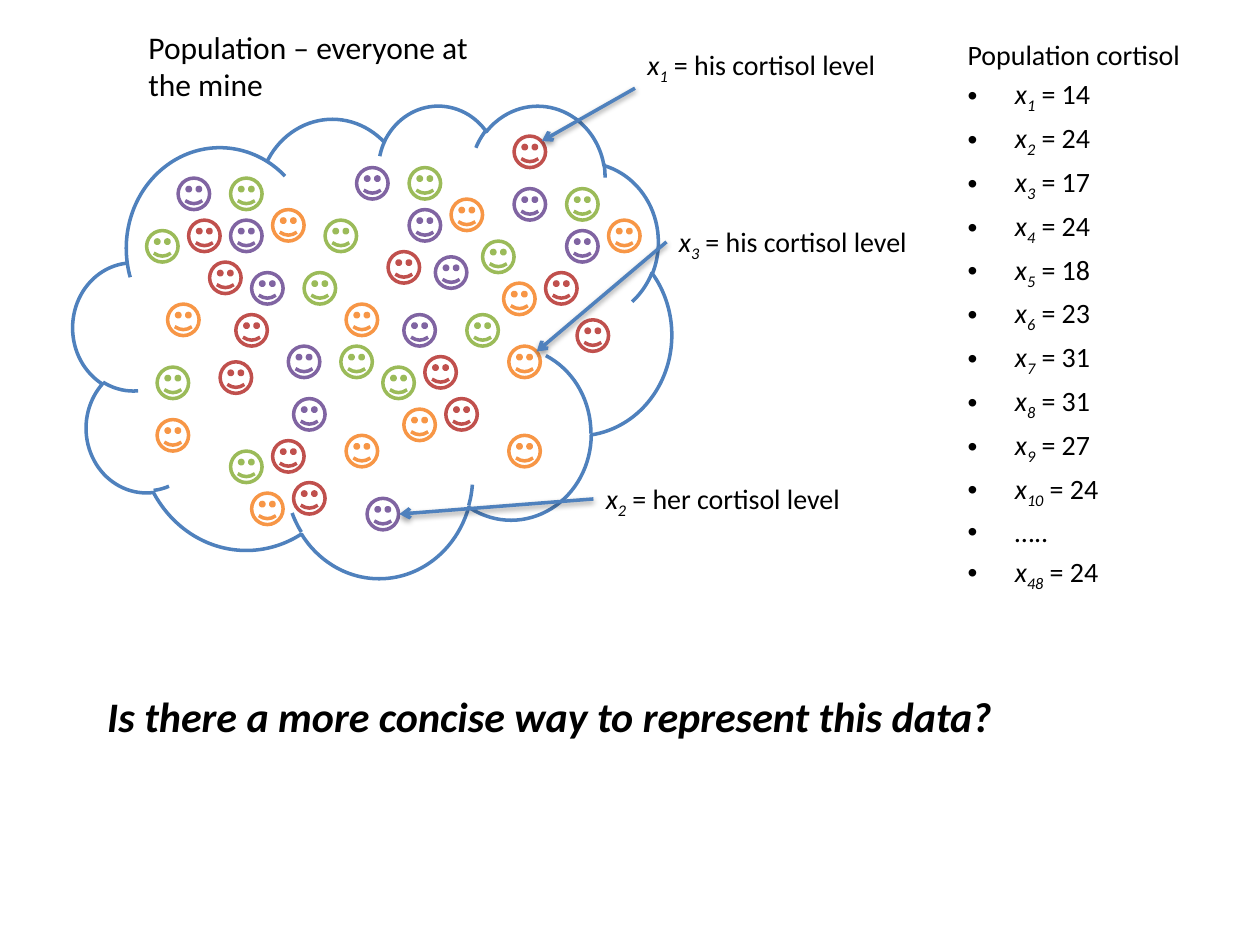
import pptx
import pptx.dml.color
import pptx.enum.shapes
import pptx.enum.text
import pptx.oxml
import pptx.oxml.ns
import pptx.util
from pptx.util import Inches

RGBColor = pptx.dml.color.RGBColor
AutoShape = pptx.enum.shapes.MSO_SHAPE
AutoSize = pptx.enum.text.MSO_AUTO_SIZE

BLACK = RGBColor(0x00, 0x00, 0x00)
WHITE = RGBColor(0xFF, 0xFF, 0xFF)
BLUE = RGBColor(0x4F, 0x81, 0xBD)
RED = RGBColor(0xC0, 0x50, 0x4D)
GREEN = RGBColor(0x9B, 0xBB, 0x59)
PURPLE = RGBColor(0x80, 0x64, 0xA2)
ORANGE = RGBColor(0xF7, 0x96, 0x46)

FONT = "Calibri"
LINE_WIDTH = pptx.util.Pt(2)
FACE_SIZE = Inches(0.25)
GRID_STEP = Inches(1) / 24

# Faces in the cloud: column and row on the grid, from the cloud's corner
FACES = {
    RED: [(22, 22), (26, 30), (96, 41), (60, 28), (31, 40), (28, 49),
          (38, 64), (42, 72), (67, 48), (71, 56), (84, 6), (90, 32)],
    GREEN: [(30, 14), (14, 24), (64, 12), (48, 22), (44, 32), (16, 50),
            (51, 46), (30, 66), (75, 40), (59, 50), (94, 16), (78, 26)],
    PURPLE: [(20, 14), (30, 22), (54, 12), (64, 20), (34, 32), (41, 46),
             (42, 56), (56, 75), (69, 29), (63, 40), (84, 16), (94, 24)],
    ORANGE: [(18, 38), (38, 20), (83, 63), (72, 18), (16, 60), (52, 38),
             (34, 74), (52, 63), (63, 58), (83, 46), (82, 34), (102, 22)],
}

# Index and value of each measurement; None marks the gap in the list
CORTISOL = [(1, 14), (2, 24), (3, 17), (4, 24), (5, 18), (6, 23), (7, 31),
            (8, 31), (9, 27), (10, 24), None, (48, 24)]

# Label index, person, label corner, arrow start and arrow end
CALLOUTS = [
    (1, "his", (5.04, 0.33), (5.04, 0.7), (4.3, 1.12)),
    (2, "her", (4.71, 3.77), (4.71, 3.96), (3.17, 4.08)),
    (3, "his", (5.29, 1.73), (5.29, 1.92), (4.26, 2.79)),
]


def add_text(paragraph, text, size=16, bold=False, italic=False, subscript=False):
    run = paragraph.add_run()
    run.text = text
    run.font.name = FONT
    run.font.size = pptx.util.Pt(size)
    run.font.bold = bold
    run.font.italic = italic
    run.font.color.rgb = BLACK
    if subscript:
        run.font._element.set("baseline", "-25000")


def add_variable(paragraph, index, meaning):
    add_text(paragraph, "x", italic=True)
    add_text(paragraph, str(index), italic=True, subscript=True)
    add_text(paragraph, f" = {meaning}")


def add_text_box(slide, box):
    frame = slide.shapes.add_textbox(*box).text_frame
    frame.word_wrap = True
    frame.auto_size = AutoSize.SHAPE_TO_FIT_TEXT
    return frame.paragraphs[0]


def move(shape, box):
    shape.left, shape.top, shape.width, shape.height = box


def add_outlined_shape(shapes, kind, box, color, filled=True):
    shape = shapes.add_shape(kind, *box)
    shape.shadow.inherit = False
    if filled:
        shape.fill.solid()
        shape.fill.fore_color.rgb = WHITE
    else:
        shape.fill.background()
    shape.line.color.rgb = color
    shape.line.width = LINE_WIDTH


def add_arrow(slide, start, end):
    arrow = slide.shapes.add_connector(
        pptx.enum.shapes.MSO_CONNECTOR.STRAIGHT,
        *(Inches(length) for length in start + end))
    arrow.line.color.rgb = BLUE
    arrow.line.width = LINE_WIDTH
    namespace = pptx.oxml.ns.nsdecls("a")
    arrow.line._get_or_add_ln().append(
        pptx.oxml.parse_xml(f'<a:tailEnd {namespace} type="arrow"/>'))
    arrow._element.spPr.append(pptx.oxml.parse_xml(
        f'<a:effectLst {namespace}>'
        '<a:outerShdw blurRad="40000" dist="20000" dir="5400000" rotWithShape="0">'
        '<a:srgbClr val="000000"><a:alpha val="38000"/></a:srgbClr>'
        '</a:outerShdw></a:effectLst>'))


def add_population(slide, box):
    left, top = box[:2]
    add_outlined_shape(slide.shapes, AutoShape.CLOUD, box, BLUE)
    group = slide.shapes.add_group_shape()
    for color, cells in FACES.items():
        for column, row in cells:
            face_box = (round(left + column * GRID_STEP), round(top + row * GRID_STEP),
                        FACE_SIZE, FACE_SIZE)
            add_outlined_shape(group.shapes, AutoShape.SMILEY_FACE, face_box,
                               color, filled=color != ORANGE)


def add_cortisol_list(slide, box):
    body = slide.placeholders[1]
    move(body, box)
    frame = body.text_frame
    frame.auto_size = AutoSize.NONE
    heading = frame.paragraphs[0]
    add_text(heading, "Population cortisol")
    heading._p.get_or_add_pPr().append(
        pptx.oxml.parse_xml(f'<a:buNone {pptx.oxml.ns.nsdecls("a")}/>'))
    for entry in CORTISOL:
        paragraph = frame.add_paragraph()
        if entry:
            add_variable(paragraph, *entry)
        else:
            add_text(paragraph, "…..")


def add_callouts(slide, width, height):
    for index, person, corner, start, end in CALLOUTS:
        box = (Inches(corner[0]), Inches(corner[1]), width, height)
        add_variable(add_text_box(slide, box), index, f"{person} cortisol level")
        add_arrow(slide, start, end)


def add_question(slide, box):
    title = slide.shapes.title
    move(title, box)
    frame = title.text_frame
    frame.auto_size = AutoSize.SHAPE_TO_FIT_TEXT
    frame.vertical_anchor = pptx.enum.text.MSO_ANCHOR.TOP
    paragraph = frame.paragraphs[0]
    paragraph.alignment = pptx.enum.text.PP_ALIGN.LEFT
    add_text(paragraph, "Is there a more concise way to represent this data?",
             size=24, bold=True, italic=True)


def main():
    presentation = pptx.Presentation()
    presentation.slide_width = Inches(10)
    presentation.slide_height = Inches(7.5)
    slide = presentation.slides.add_slide(presentation.slide_layouts[1])

    # Cloud of people and its caption
    add_population(slide, (Inches(0.58), Inches(0.83), Inches(4.75), Inches(3.75)))
    caption = add_text_box(
        slide, (Inches(1.08), Inches(0.17), Inches(2.96), Inches(0.71)))
    add_text(caption, "Population – everyone at the mine", size=18)

    # Measurements, labels and closing question
    add_cortisol_list(slide, (Inches(7.58), Inches(0.25), Inches(2.17), Inches(4.95)))
    add_callouts(slide, Inches(2.54), Inches(0.37))
    add_question(slide, (Inches(0.75), Inches(5.43), Inches(8.58), Inches(0.5)))

    presentation.save("out.pptx")


if __name__ == "__main__":
    main()
